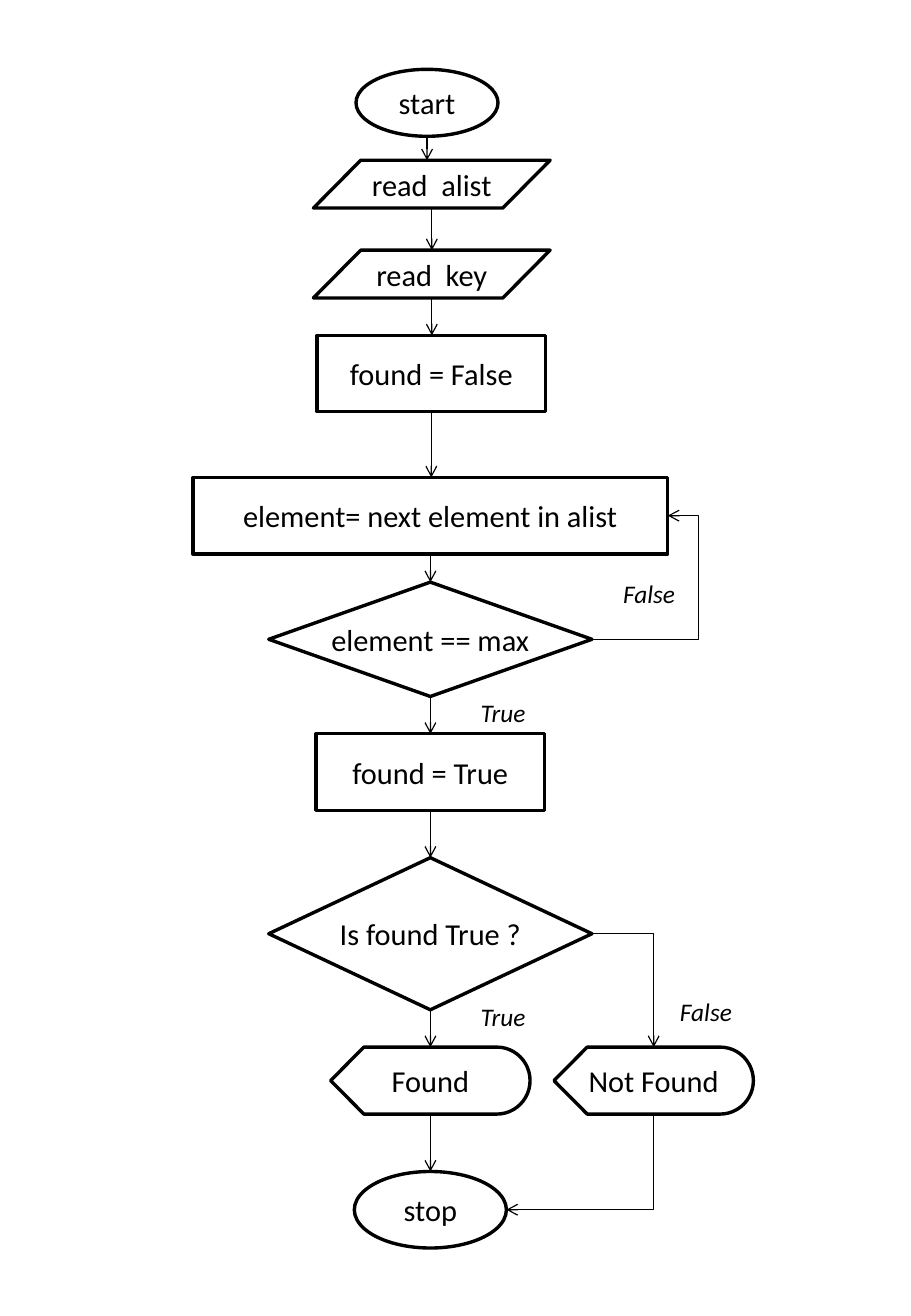
from lxml.etree import SubElement
from pptx import Presentation
from pptx.dml.color import RGBColor
from pptx.enum.shapes import MSO_CONNECTOR, MSO_SHAPE
from pptx.enum.text import MSO_ANCHOR, PP_ALIGN
from pptx.oxml.ns import qn
from pptx.util import Cm, Pt

FONT = "Calibri"
BLACK, WHITE = "000000", "FFFFFF"

# Kind of step: preset shape, width and height in cm
KINDS = {
    "start": (MSO_SHAPE.OVAL, 2.97, 1.4),
    "stop": (MSO_SHAPE.OVAL, 3.18, 1.6),
    "input": (MSO_SHAPE.FLOWCHART_DATA, 4.95, 1),
    "process": (MSO_SHAPE.RECTANGLE, 4.78, 1.6),
    "wide process": (MSO_SHAPE.RECTANGLE, 9.93, 1.6),
    "low decision": (MSO_SHAPE.FLOWCHART_DECISION, 6.76, 2.39),
    "high decision": (MSO_SHAPE.FLOWCHART_DECISION, 6.76, 3.18),
    "output": (MSO_SHAPE.FLOWCHART_DISPLAY, 4.17, 1.4),
}

# Step: kind, text, centre and top in cm
MAIN_FLOW = [
    ("start", "start", 8.93, 1.45),
    ("input", "read  alist", 9.03, 3.35),
    ("input", "read  key", 9.03, 5.23),
    ("process", "found = False", 9.02, 7.01),
    ("wide process", "element= next element in alist", 9, 9.98),
    ("low decision", "element == max", 9, 12.17),
    ("process", "found = True", 9, 15.34),
    ("high decision", "Is found True ?", 9, 17.93),
    ("output", "Found", 9, 21.89),
    ("stop", "stop", 9, 24.49),
]
SIDE_STEP = ("output", "Not Found", 13.67, 21.89)

# Branch label: text, left, top and width in cm
BRANCH_LABELS = [
    ("False", 12.78, 11.96, 1.63),
    ("True", 9.8, 14.45, 1.45),
    ("True", 9.8, 20.8, 1.45),
    ("False", 13.97, 20.7, 1.63),
]
LABEL_HEIGHT = 0.89
LOOP_REACH = 140000  # how far the loop swings out, 100000 being its end


def color(value):
    """Turn a hex string into a colour."""
    return RGBColor.from_string(value)


def write(shape, text, size=18, italic=False, align=PP_ALIGN.CENTER,
          anchor=MSO_ANCHOR.MIDDLE):
    """Write one line of unwrapped text into a shape."""
    frame = shape.text_frame
    frame.word_wrap = False
    frame.vertical_anchor = anchor
    paragraph = frame.paragraphs[0]
    paragraph.alignment = align
    run = paragraph.add_run()
    run.text = text
    run.font.name = FONT
    run.font.size = Pt(size)
    run.font.italic = italic
    run.font.color.rgb = color(BLACK)


def add_step(shapes, kind, text, center, top):
    """Add one outlined step of the flowchart."""
    preset, width, height = KINDS[kind]
    shape = shapes.add_shape(preset, Cm(center - width / 2), Cm(top),
                             Cm(width), Cm(height))
    shape.shadow.inherit = False
    shape.fill.solid()
    shape.fill.fore_color.rgb = color(WHITE)
    shape.line.color.rgb = color(BLACK)
    shape.line.width = Pt(2)
    write(shape, text)
    return shape


def side(shape, name):
    """Give the middle point of one side of a shape."""
    center = shape.left + shape.width // 2
    middle = shape.top + shape.height // 2
    return {"top": (center, shape.top),
            "bottom": (center, shape.top + shape.height),
            "right": (shape.left + shape.width, middle)}[name]


def add_arrow(shapes, begin, end, kind=MSO_CONNECTOR.STRAIGHT, head="tailEnd"):
    """Add a thin connector with an open arrowhead on the named end."""
    connector = shapes.add_connector(kind, *begin, *end)
    connector.line.color.rgb = color(BLACK)
    connector.line.width = Pt(0.75)
    SubElement(connector.line._get_or_add_ln(), qn("a:" + head), type="arrow")
    SubElement(connector._element.spPr, qn("a:effectLst"))
    return connector


def add_corner(shapes, begin, end, head="tailEnd"):
    """Add an arrow that runs sideways, then turns once."""
    connector = add_arrow(shapes, begin, end, MSO_CONNECTOR.ELBOW, head)
    connector._element.spPr.find(qn("a:prstGeom")).set("prst", "bentConnector2")


def add_loop(shapes, begin, end):
    """Add an arrow that swings out beyond its end and comes back."""
    connector = add_arrow(shapes, begin, end, MSO_CONNECTOR.ELBOW)
    geometry = connector._element.spPr.find(qn("a:prstGeom"))
    guides = geometry.find(qn("a:avLst"))
    if guides is None:
        guides = SubElement(geometry, qn("a:avLst"))
    SubElement(guides, qn("a:gd"), name="adj1", fmla=f"val {LOOP_REACH}")


presentation = Presentation()
presentation.slide_width = Cm(19.05)
presentation.slide_height = Cm(27.51)
slide = presentation.slides.add_slide(presentation.slide_layouts[6])
shapes = slide.shapes.add_group_shape().shapes

steps = [add_step(shapes, *step) for step in MAIN_FLOW]
not_found = add_step(shapes, *SIDE_STEP)
by_text = {step.text_frame.text: step for step in steps}

for upper, lower in zip(steps, steps[1:]):
    x, y = side(upper, "bottom")
    add_arrow(shapes, (x, y), (x, lower.top))

add_loop(shapes, side(by_text["element == max"], "right"),
         side(by_text["element= next element in alist"], "right"))
add_corner(shapes, side(by_text["Is found True ?"], "right"),
           side(not_found, "top"))
add_corner(shapes, side(by_text["stop"], "right"),
           side(not_found, "bottom"), head="headEnd")

for text, left, top, width in BRANCH_LABELS:
    label = shapes.add_textbox(Cm(left), Cm(top), Cm(width), Cm(LABEL_HEIGHT))
    write(label, text, size=15, italic=True, align=PP_ALIGN.LEFT,
          anchor=MSO_ANCHOR.TOP)

presentation.save("out.pptx")
